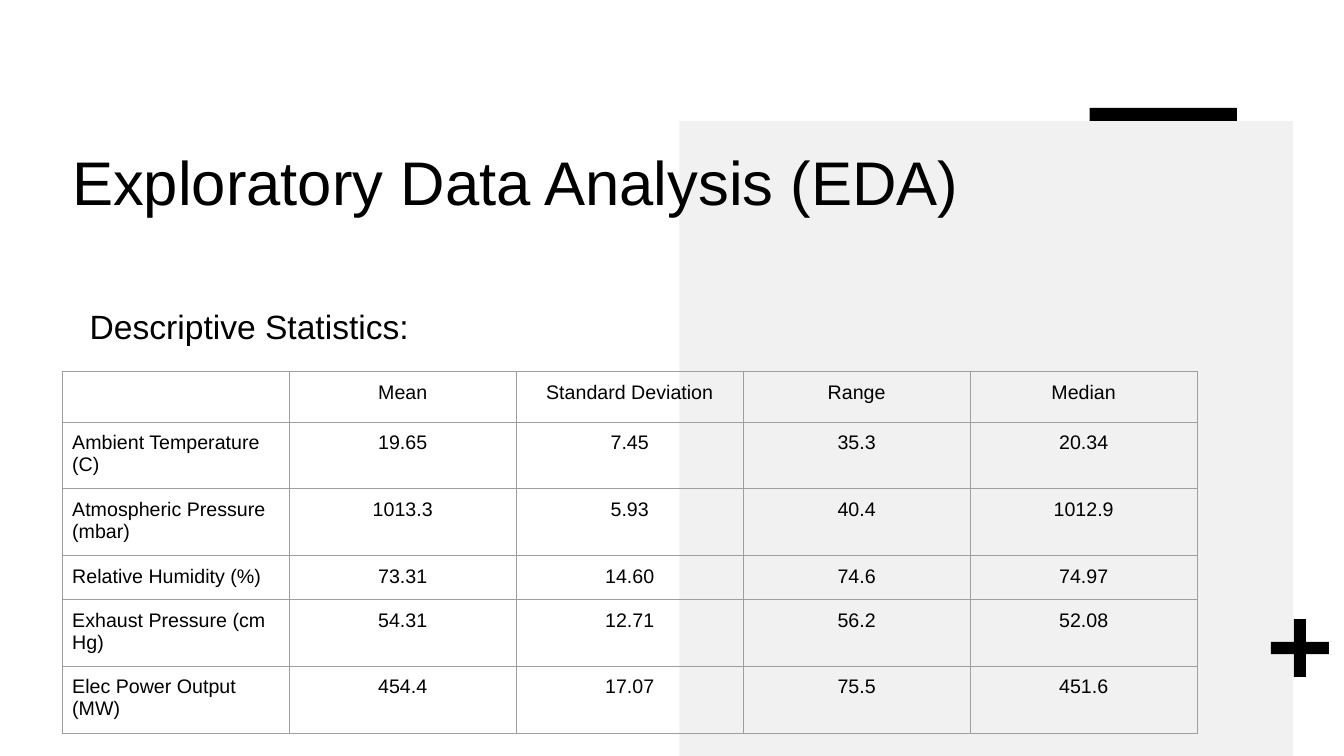
from dataclasses import dataclass

import pptx
import pptx.dml.color
import pptx.enum.shapes
import pptx.enum.text
import pptx.oxml
import pptx.oxml.ns
import pptx.util

Cm = pptx.util.Cm
Pt = pptx.util.Pt
ALIGN = pptx.enum.text.PP_ALIGN
SHAPE = pptx.enum.shapes.MSO_SHAPE


@dataclass(frozen=True)
class Theme:
    """Colours and type sizes of the slide."""
    font: str = "Arial"
    ink: str = "000000"
    panel: str = "F2F1F1"
    grid: str = "9E9E9E"
    grid_width: float = 0.75
    title: int = 44
    subtitle: int = 24
    table: int = 14


THEME = Theme()

STATISTICS = [
    ("", "Mean", "Standard Deviation", "Range", "Median"),
    ("Ambient Temperature (C)", "19.65", "7.45", "35.3", "20.34"),
    ("Atmospheric Pressure (mbar)", "1013.3", "5.93", "40.4", "1012.9"),
    ("Relative Humidity (%)", "73.31", "14.60", "74.6", "74.97"),
    ("Exhaust Pressure (cm Hg)", "54.31", "12.71", "56.2", "52.08"),
    ("Elec Power Output (MW)", "454.4", "17.07", "75.5", "451.6"),
]
ROW_HEIGHTS = (1.21, 1.62, 1.62, 1.06, 1.62, 1.62)
COLUMN_WIDTH = 5.72
LEFT = 1.57


def apply(target, formats):
    """Set every attribute in formats on target."""
    for name, value in formats.items():
        setattr(target, name, value)


def write(paragraph, text, size, align=ALIGN.LEFT):
    """Put one formatted run into a paragraph."""
    paragraph.alignment = align
    run = paragraph.add_run()
    run.text = text
    apply(run.font, {"name": THEME.font, "size": Pt(size)})
    run.font.color.rgb = pptx.dml.color.RGBColor.from_string(THEME.ink)


def add_decoration(slide, kind, box, color):
    """Add a plain filled shape and return it."""
    decoration = slide.shapes.add_shape(kind, *map(Cm, box))
    decoration.shadow.inherit = False
    decoration.fill.solid()
    decoration.fill.fore_color.rgb = pptx.dml.color.RGBColor.from_string(color)
    decoration.line.fill.background()
    return decoration


def add_heading(slide, text, box, size, top_inset):
    """Add a wrapped line of text and return its paragraph."""
    frame = slide.shapes.add_textbox(*map(Cm, box)).text_frame
    apply(frame, {
        "word_wrap": True,
        "vertical_anchor": pptx.enum.text.MSO_ANCHOR.TOP,
        "margin_left": Cm(0.25),
        "margin_right": Cm(0.25),
        "margin_top": Cm(top_inset),
        "margin_bottom": Cm(0.13),
    })
    write(frame.paragraphs[0], text, size)
    return frame.paragraphs[0]


def indent(paragraph, left, first):
    """Set the left margin and first-line indent of a paragraph."""
    properties = paragraph._p.get_or_add_pPr()
    properties.set("marL", str(Cm(left)))
    properties.set("indent", str(Cm(first)))


def outline(cell):
    """Draw the grid line on all four sides of a cell."""
    properties = cell._tc.get_or_add_tcPr()
    for position, side in enumerate(("lnL", "lnR", "lnT", "lnB")):
        properties.insert(position, pptx.oxml.parse_xml(
            f'<a:{side} {pptx.oxml.ns.nsdecls("a")} w="{Pt(THEME.grid_width)}">'
            f'<a:solidFill><a:srgbClr val="{THEME.grid}"/></a:solidFill></a:{side}>'))


def add_statistics(slide, top):
    """Add the table of descriptive statistics."""
    columns = len(STATISTICS[0])
    table = slide.shapes.add_table(
        len(STATISTICS), columns, Cm(LEFT), Cm(top),
        Cm(COLUMN_WIDTH * columns), Cm(sum(ROW_HEIGHTS))).table
    apply(table, {"first_row": False, "horz_banding": False})
    for column in table.columns:
        column.width = Cm(COLUMN_WIDTH)
    margins = {f"margin_{side}": Cm(0.25) for side in ("left", "right", "top", "bottom")}
    for row, height, entries in zip(table.rows, ROW_HEIGHTS, STATISTICS):
        row.height = Cm(height)
        for index, (cell, entry) in enumerate(zip(row.cells, entries)):
            apply(cell, margins)
            cell.fill.background()
            outline(cell)
            if entry:
                write(cell.text_frame.paragraphs[0], entry, THEME.table,
                      ALIGN.CENTER if index else ALIGN.LEFT)


def main():
    """Build and save the slide."""
    deck = pptx.Presentation()
    apply(deck, {"slide_width": Cm(33.87), "slide_height": Cm(19.05)})
    slide = deck.slides.add_slide(deck.slide_layouts[6])

    add_decoration(slide, SHAPE.RECTANGLE, (17.12, 3.05, 15.47, 16), THEME.panel)
    plus = add_decoration(slide, SHAPE.CROSS, (32.03, 15.6, 1.46, 1.46), THEME.ink)
    plus.adjustments[0] = 0.395
    add_decoration(slide, SHAPE.RECTANGLE, (27.46, 2.72, 3.71, 0.33), THEME.ink)

    add_heading(slide, "Exploratory Data Analysis (EDA)",
                (LEFT, 3.35, 22.96, 4.01), THEME.title, 0.28)
    subtitle = add_heading(slide, "Descriptive Statistics:",
                           (LEFT, 7.47, 22.96, 8.86), THEME.subtitle, 0.23)
    indent(subtitle, 0.64, -0.2)
    add_statistics(slide, 9.37)

    deck.save("out.pptx")


if __name__ == "__main__":
    main()
